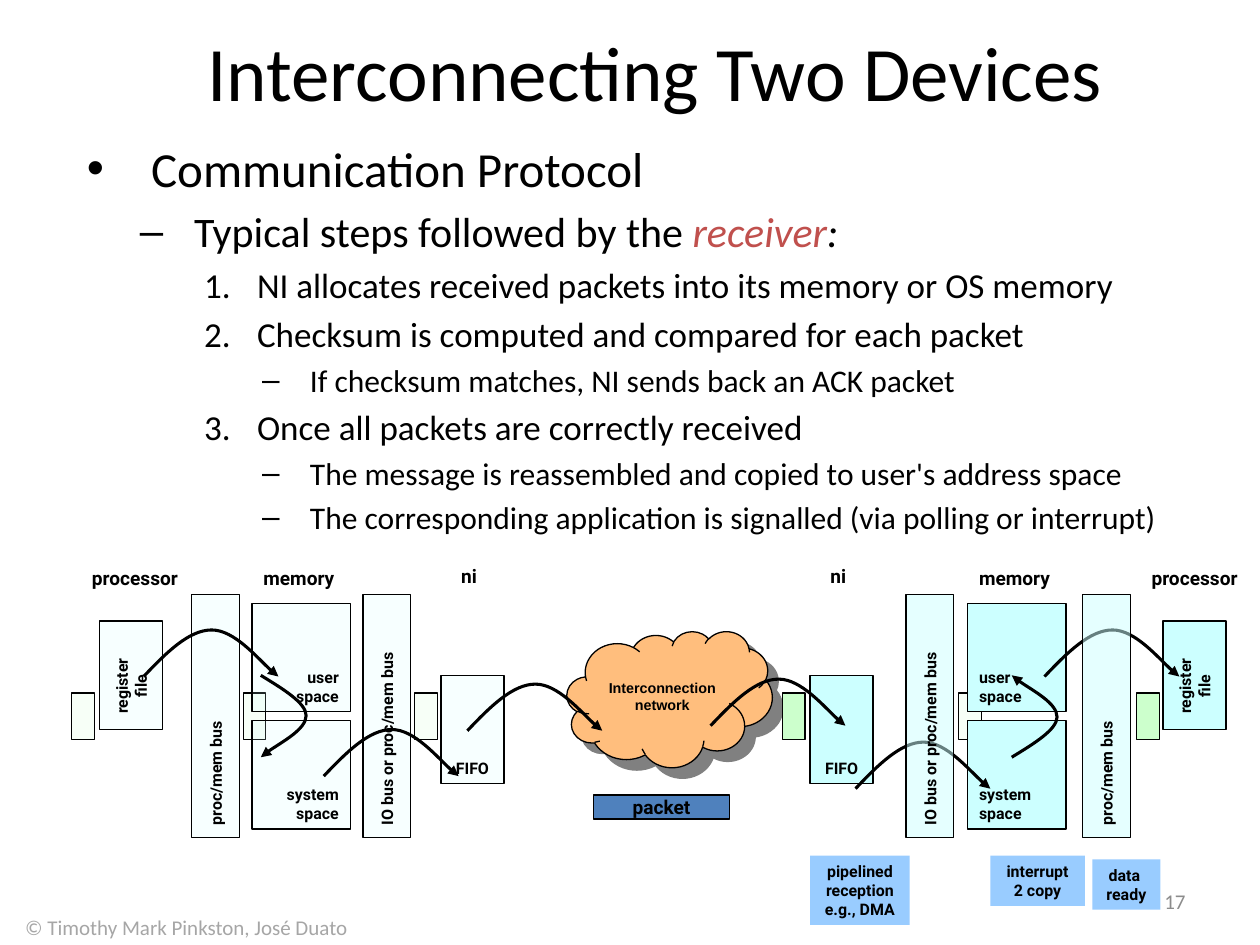
from pptx import Presentation
from pptx.dml.color import RGBColor
from pptx.enum.shapes import MSO_SHAPE
from pptx.enum.text import MSO_ANCHOR, MSO_AUTO_SIZE, PP_ALIGN
from pptx.oxml.ns import qn
from pptx.util import Inches, Pt
from lxml.etree import SubElement

TITLE = "Interconnecting Two Devices"
STEPS = [
    (0, "Communication Protocol"),
    (1, "Typical steps followed by the |receiver|:"),
    (2, "NI allocates received packets into its memory or OS memory"),
    (2, "Checksum is computed and compared for each packet"),
    (3, "If checksum matches, NI sends back an ACK packet"),
    (2, "Once all packets are correctly received"),
    (3, "The message is reassembled and copied to user's address space"),
    (3, "The corresponding application is signalled (via polling or interrupt)"),
]
LEVELS = [(28, 0.51, 0.51, "•"), (24, 0.85, 0.43, "–"),
          (20, 1.35, 0.42, None), (18, 1.77, 0.38, "–")]

SENDER = dict(tabs=[(0.57, 15), (1.93, 15), (3.29, 15)], cpu=0.64, reg=0.79,
              mem=2, ni=3.5, fill=15, align="r",
              buses=[(1.52, "proc/mem bus"), (2.88, "IO bus or proc/mem bus")])
TAKER = dict(tabs=[(6.21, 100), (7.61, 15), (9.02, 100)], cpu=9.05, reg=9.23,
             mem=7.68, ni=6.43, fill=100, align="l",
             buses=[(7.19, "IO bus or proc/mem bus"), (8.59, "proc/mem bus")])
NOTES = [(8.67, 6.82, 0.54, 0.4, "data \nready"),
         (7.86, 6.79, 0.75, 0.4, "interrupt\n2 copy"),
         (6.43, 6.79, 0.79, 0.55, "pipelined\nreception\ne.g., DMA")]
HOP = [(0, 0.37), (0.18, 0.18), (0.36, 0), (0.54, 0), (0.72, 0), (0.98, 0.31), (1.07, 0.37)]
TURN = [(0, 0), (0.18, 0.11), (0.36, 0.22), (0.36, 0.32), (0.36, 0.43), (0.06, 0.59), (0, 0.65)]
BACK = [(x, -y) for x, y in TURN]
TAKEN = [(8.29, 5, HOP), (8.03, 6.01, BACK), (5.64, 5.39, HOP), (6.79, 5.89, HOP)]
SENT = [(1.14, 5, HOP), (2.07, 5.36, TURN), (2.57, 5.79, HOP), (3.71, 5.43, HOP)]

ALIGN = {"l": PP_ALIGN.LEFT, "c": PP_ALIGN.CENTER, "r": PP_ALIGN.RIGHT}
ANCHOR = {"t": MSO_ANCHOR.TOP, "m": MSO_ANCHOR.MIDDLE, "b": MSO_ANCHOR.BOTTOM}

deck = Presentation()
deck.slide_width, deck.slide_height = Inches(10), Inches(7.5)
slide = deck.slides.add_slide(deck.slide_layouts[1])
shapes = slide.shapes


def paint(fmt, hue, alpha=100):
    fmt.solid()
    fmt.fore_color.rgb = RGBColor.from_string(hue)
    if alpha < 100:
        node = fmt._xPr.find(".//" + qn("a:srgbClr"))
        SubElement(node, qn("a:alpha"), val=str(alpha * 1000))


def style(font, size, hue="000000", face="Roboto", bold=True):
    font.size, font.name, font.bold = Pt(size), face, bold
    font.color.rgb = RGBColor.from_string(hue)


def place(shape, *box):
    shape.left, shape.top, shape.width, shape.height = map(Inches, box)


def write(shape, text, size=9.1, align="c", anchor="m", turn=False, pads=(0.05, 0.05), **look):
    frame = shape.text_frame
    frame.word_wrap, frame.vertical_anchor = True, ANCHOR[anchor]
    frame.margin_top, frame.margin_bottom = map(Inches, pads)
    frame.margin_left = frame.margin_right = Inches(0.09)
    if turn:
        frame._txBody.bodyPr.set("vert", "vert270")
    frame.text = text
    for para in frame.paragraphs:
        para.alignment = ALIGN[align]
        style(para.font, size, **look)


def block(box, hue, alpha=100, text="", kind=MSO_SHAPE.RECTANGLE, line=True, **opts):
    shape = shapes.add_shape(kind, *map(Inches, box))
    shape.shadow.inherit = False
    paint(shape.fill, hue, alpha)
    if line:
        paint(shape.line.fill, "000000")
        shape.line.width = Pt(0.75)
    else:
        shape.line.fill.background()
    if text:
        write(shape, text, **opts)
    return shape


def label(box, text, **opts):
    write(shapes.add_textbox(*map(Inches, box)), text, **opts)


def buses(side, alpha):
    for x, name in side["buses"]:
        block((x, 4.72, 0.38, 1.93), "CCFFFF", alpha, name, align="l", turn=True)


def device(side):
    alpha, mem, ni = side["fill"], side["mem"], side["ni"]
    for x, tint in side["tabs"]:
        block((x, 5.5, 0.18, 0.37), "CCFFCC", tint)
    for x, y, wide, name in [(side["cpu"], 4.45, 0.93, "processor"),
                             (mem, 4.45, 0.81, "memory"), (ni + 0.07, 4.43, 0.32, "ni")]:
        label((x, y, wide, 0.28), name, size=10.9, align="l", anchor="t")
    for row, name in enumerate(["user\nspace", "system\nspace"]):
        block((mem, 4.79 + row * 0.93, 0.78, 0.86), "CCFFFF", alpha, name,
              align=side["align"], anchor="b")
    block((side["reg"], 4.93, 0.5, 0.86), "CCFFFF", alpha, "register\nfile",
          turn=True, pads=(0.27, 0.05))
    block((ni, 5.36, 0.5, 0.86), "CCFFFF", alpha, "FIFO", anchor="b")


def arrow(x, y, curve):
    """Draw a cubic curve with an arrowhead, taking its points in threes."""
    dots = [(Inches(x + dx), Inches(y + dy)) for dx, dy in curve]
    pen = shapes.build_freeform(*dots[0])
    pen.add_line_segments(dots[1:], close=False)
    shape = pen.convert_to_shape()
    shape.shadow.inherit = False
    shape.fill.background()
    paint(shape.line.fill, "000000")
    shape.line.width = Pt(1.75)
    SubElement(shape.line._get_or_add_ln(), qn("a:tailEnd"), type="triangle")
    track = shape._element.find(".//" + qn("a:path"))
    legs = track.findall(qn("a:lnTo"))
    for i in range(0, len(legs), 3):
        bend = SubElement(track, qn("a:cubicBezTo"))
        for leg in legs[i:i + 3]:
            bend.append(leg[0])
            track.remove(leg)


def outline(body):
    frame = body.text_frame
    frame.auto_size, frame.word_wrap = MSO_AUTO_SIZE.NONE, True
    frame.margin_left = frame.margin_right = frame.margin_top = frame.margin_bottom = 0
    for i, (level, text) in enumerate(STEPS):
        para = frame.add_paragraph() if i else frame.paragraphs[0]
        size, left, hang, mark = LEVELS[level]
        para.level = level
        style(para.font, size, face="Calibri", bold=False)
        for j, part in enumerate(text.split("|")):
            run = para.add_run()
            run.text = part
            if j:
                run.font.italic = True
            if j == 1:
                run.font.color.rgb = RGBColor.from_string("C0504D")
        props = para._p.get_or_add_pPr()
        props.set("marL", str(Inches(left)))
        props.set("indent", str(-Inches(hang)))
        bullet = (SubElement(props, qn("a:buChar"), char=mark) if mark else
                  SubElement(props, qn("a:buAutoNum"), type="arabicPeriod"))
        props.find(qn("a:defRPr")).addprevious(bullet)


head, body = slide.placeholders
place(head, 0.73, 0.19, 8.94, 0.74)
write(head, TITLE, 44, pads=(0, 0), face="Calibri", bold=False)
place(body, 0.69, 1.1, 9.18, 3.26)
outline(body)

buses(SENDER, 15)
device(SENDER)
cloud = block((4.5, 5.01, 1.63, 1.08), "FFBE7D", text="Interconnection\nnetwork",
              kind=MSO_SHAPE.CLOUD, size=8.2, face="Arial")
cast = SubElement(cloud._element.spPr.find(qn("a:effectLst")), qn("a:outerShdw"),
                  dist=str(Pt(8.5)), dir="2700000", algn="ctr", rotWithShape="0")
SubElement(cast, qn("a:srgbClr"), val="808080")
device(TAKER)
block((4.71, 6.31, 1.08, 0.19), "4F81BD", text="packet", size=10.9)
for spot in TAKEN:
    arrow(*spot)
for *box, text in NOTES:
    block(box, "99CCFF", text=text, line=False, anchor="t")
buses(TAKER, 50)
for spot in SENT:
    arrow(*spot)
label((7.17, 6.95, 2.33, 0.4), "17", size=12, align="r",
      hue="8C8C8C", face="Calibri", bold=False)
label((-0.04, 7.22, 3.04, 0.28), "© Timothy Mark Pinkston, José Duato", size=12,
      hue="A6A6A6", face="Calibri", bold=False)

deck.save("out.pptx")
